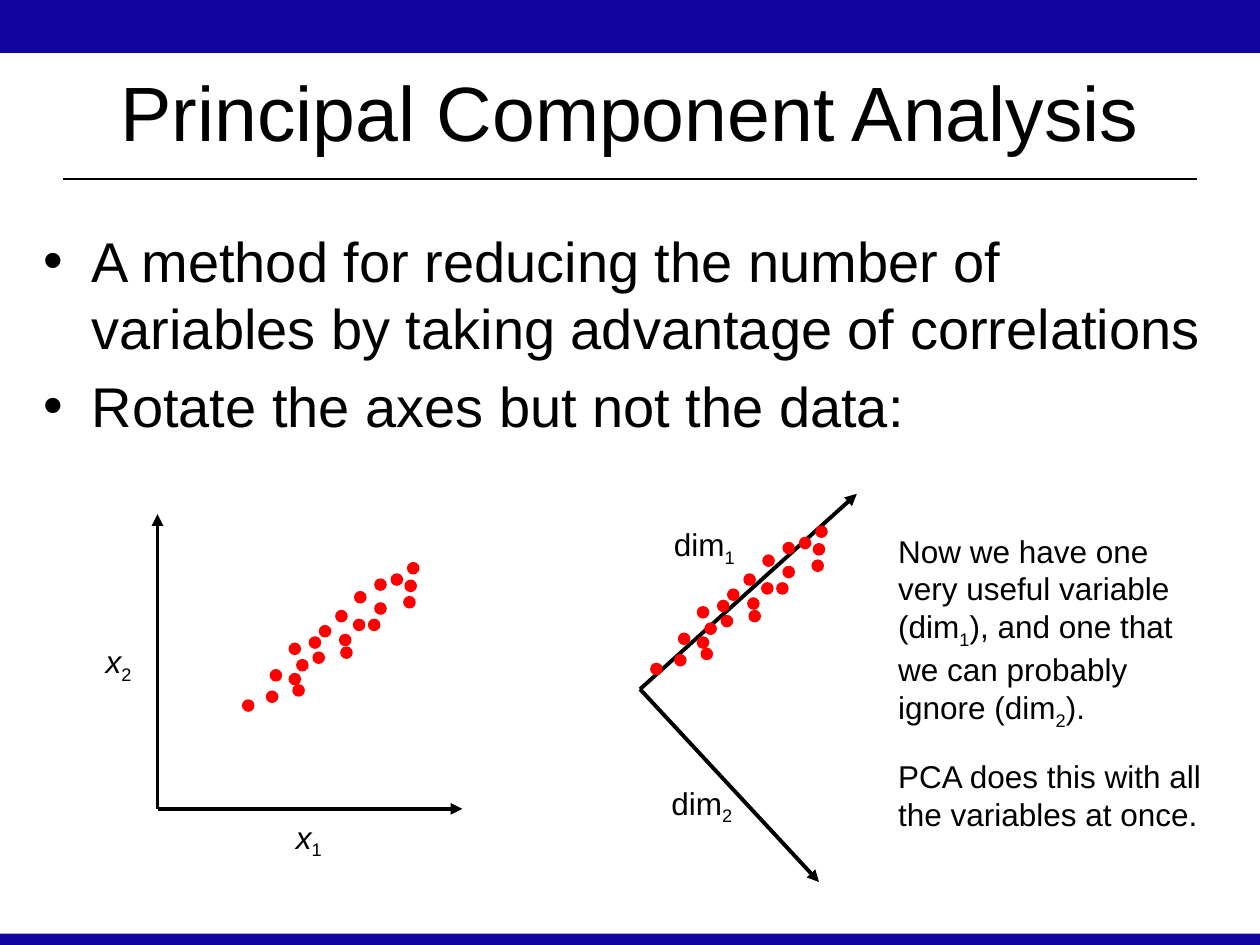
from dataclasses import dataclass

from lxml import etree
from pptx import Presentation
from pptx.dml.color import RGBColor
from pptx.enum.shapes import MSO_CONNECTOR, MSO_SHAPE
from pptx.enum.text import MSO_ANCHOR, PP_ALIGN
from pptx.oxml.ns import qn
from pptx.util import Inches, Pt

STRAIGHT = MSO_CONNECTOR.STRAIGHT
RECTANGLE = MSO_SHAPE.RECTANGLE
OVAL = MSO_SHAPE.OVAL
MIDDLE = MSO_ANCHOR.MIDDLE
CENTER = PP_ALIGN.CENTER


@dataclass(frozen=True)
class Theme:
    font: str = "Arial"
    ink: RGBColor = RGBColor(0x00, 0x00, 0x00)
    band: RGBColor = RGBColor(0x10, 0x06, 0x9F)
    dot: RGBColor = RGBColor(0xFF, 0x00, 0x00)
    title_size: Pt = Pt(44)
    body_size: Pt = Pt(32)
    note_size: Pt = Pt(18)
    rule_width: Pt = Pt(1.25)
    axis_width: Pt = Pt(2.25)


THEME = Theme()
DOT_SIZE = 0.1
ROTATED_OFFSET = (3.24, -0.29)
DATA_POINTS = [
    (2.48, 5.17), (2.53, 4.96), (2.81, 4.69), (2.92, 4.91), (2.69, 5.03),
    (3.2, 4.73), (3.1, 4.55), (2.8, 4.91), (2.97, 4.78), (2.32, 5.43),
    (2.35, 5.23), (2.11, 5.48), (2.29, 5.34), (2.14, 5.31), (2.7, 5.13),
    (2.29, 5.1), (2.97, 4.59), (2.66, 4.84), (2.45, 5.05), (3.23, 4.46),
    (3.21, 4.6), (1.92, 5.55),
]
AXES = [
    ((1.25, 6.42), (1.25, 4.08)),
    ((1.25, 6.42), (3.67, 6.42)),
    ((5.08, 5.47), (6.8, 3.92)),
    ((5.08, 5.47), (6.5, 7)),
]
BULLETS = [
    "A method for reducing the number of variables by taking advantage of correlations",
    "Rotate the axes but not the data:",
]
# Odd-numbered parts of each text are subscripts.
NOTES = [
    ((7.03, 4.17, 2.62, 1.62),
     ["Now we have one very useful variable (dim", "1",
      "), and one that we can probably ignore (dim", "2", ")."]),
    ((7.03, 5.96, 2.89, 0.71), ["PCA does this with all the variables at once."]),
    ((5.25, 4.12, 0.79, 0.4), ["dim", "1"]),
    ((5.23, 6.17, 0.79, 0.4), ["dim", "2"]),
]
AXIS_LABELS = [
    ((2.25, 6.44, 0.56, 0.4), ["x", "1"]),
    ((0.74, 5.05, 0.56, 0.4), ["x", "2"]),
]


def inches(values):
    return [Inches(value) for value in values]


def add_filled_shape(slide, kind, box, color):
    shape = slide.shapes.add_shape(kind, *inches(box))
    shape.shadow.inherit = False
    shape.fill.solid()
    shape.fill.fore_color.rgb = color
    shape.line.fill.background()


def add_line(slide, start, end, width, arrow=False):
    line = slide.shapes.add_connector(STRAIGHT, *inches(start + end))
    line.line.color.rgb = THEME.ink
    line.line.width = width
    if arrow:
        etree.SubElement(line.line._get_or_add_ln(), qn("a:tailEnd"), type="triangle")
    etree.SubElement(line._element.spPr, qn("a:effectLst"))


def add_text_frame(slide, box):
    text_frame = slide.shapes.add_textbox(*inches(box)).text_frame
    text_frame.word_wrap = True
    return text_frame


def format_font(font, size):
    font.name = THEME.font
    font.size = size
    font.color.rgb = THEME.ink


def add_title(slide, text):
    text_frame = add_text_frame(slide, (0.5, 0.25, 9, 1.25))
    text_frame.text = text
    text_frame.vertical_anchor = MIDDLE
    paragraph = text_frame.paragraphs[0]
    paragraph.alignment = CENTER
    format_font(paragraph.runs[0].font, THEME.title_size)


def add_bullets(slide, items):
    text_frame = add_text_frame(slide, (0.25, 1.75, 9.5, 5.42))
    text_frame.text = "\n".join(items)
    for index, paragraph in enumerate(text_frame.paragraphs):
        if index:
            paragraph.space_before = Pt(6)
        properties = paragraph._p.get_or_add_pPr()
        properties.set("marL", str(Inches(0.38)))
        properties.set("indent", str(-Inches(0.38)))
        etree.SubElement(properties, qn("a:buFont"), typeface=THEME.font)
        etree.SubElement(properties, qn("a:buChar"), char="•")
        format_font(paragraph.runs[0].font, THEME.body_size)


def add_subscripted_text(slide, box, parts, italic=False):
    """Add a text box whose parts alternate between normal and subscript."""
    paragraph = add_text_frame(slide, box).paragraphs[0]
    for index, part in enumerate(parts):
        run = paragraph.add_run()
        run.text = part
        format_font(run.font, THEME.note_size)
        if index % 2:
            run._r.get_or_add_rPr().set("baseline", "-25000")
        elif italic:
            run.font.italic = True


def add_data_cloud(slide, offset=(0, 0)):
    for left, top in DATA_POINTS:
        box = (left + offset[0], top + offset[1], DOT_SIZE, DOT_SIZE)
        add_filled_shape(slide, OVAL, box, THEME.dot)


def main():
    presentation = Presentation()
    presentation.slide_width = Inches(10)
    presentation.slide_height = Inches(7.5)
    slide = presentation.slides.add_slide(presentation.slide_layouts[6])

    add_filled_shape(slide, RECTANGLE, (0, 0, 10, 0.42), THEME.band)
    add_filled_shape(slide, RECTANGLE, (0, 7.41, 10, 0.1), THEME.band)
    add_line(slide, (0.5, 1.42), (9.5, 1.42), THEME.rule_width)
    add_title(slide, "Principal Component Analysis")
    add_bullets(slide, BULLETS)

    for start, end in AXES:
        add_line(slide, start, end, THEME.axis_width, arrow=True)
    add_data_cloud(slide)
    add_data_cloud(slide, ROTATED_OFFSET)

    for box, parts in NOTES:
        add_subscripted_text(slide, box, parts)
    for box, parts in AXIS_LABELS:
        add_subscripted_text(slide, box, parts, italic=True)

    presentation.save("out.pptx")


if __name__ == "__main__":
    main()
